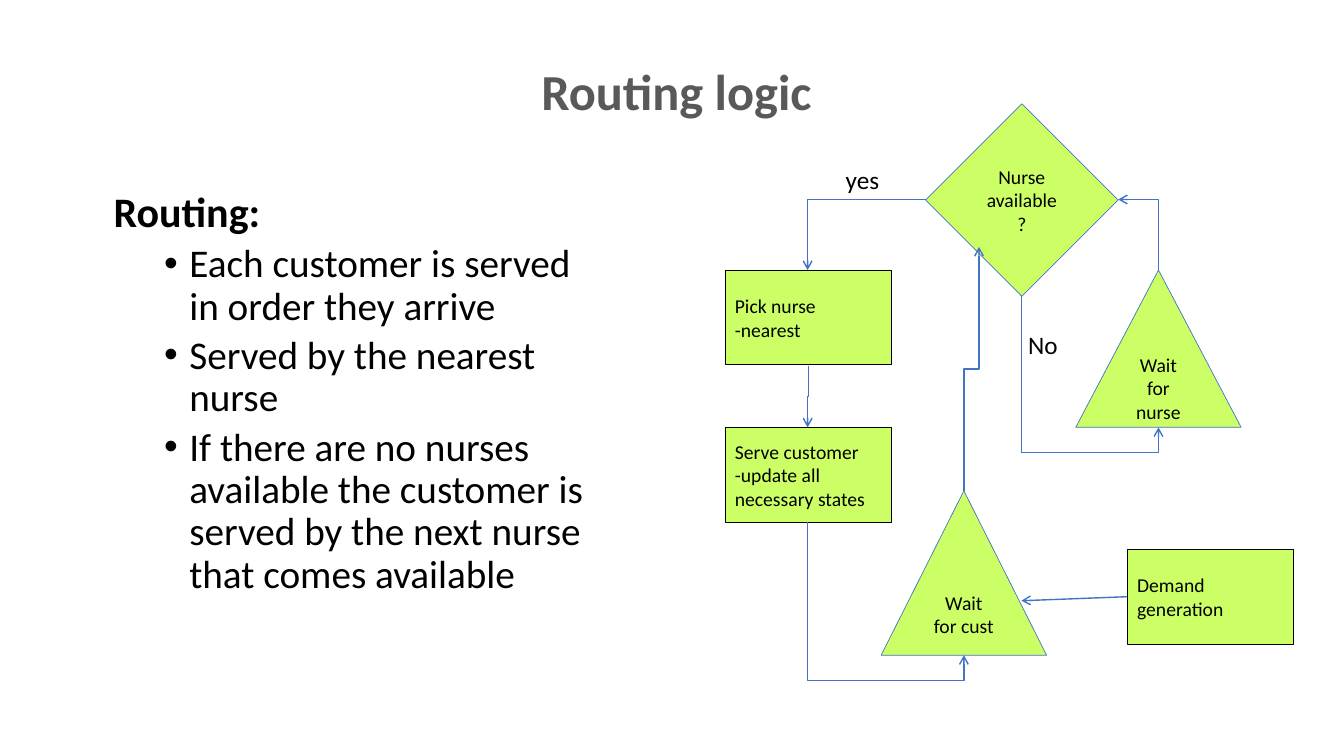
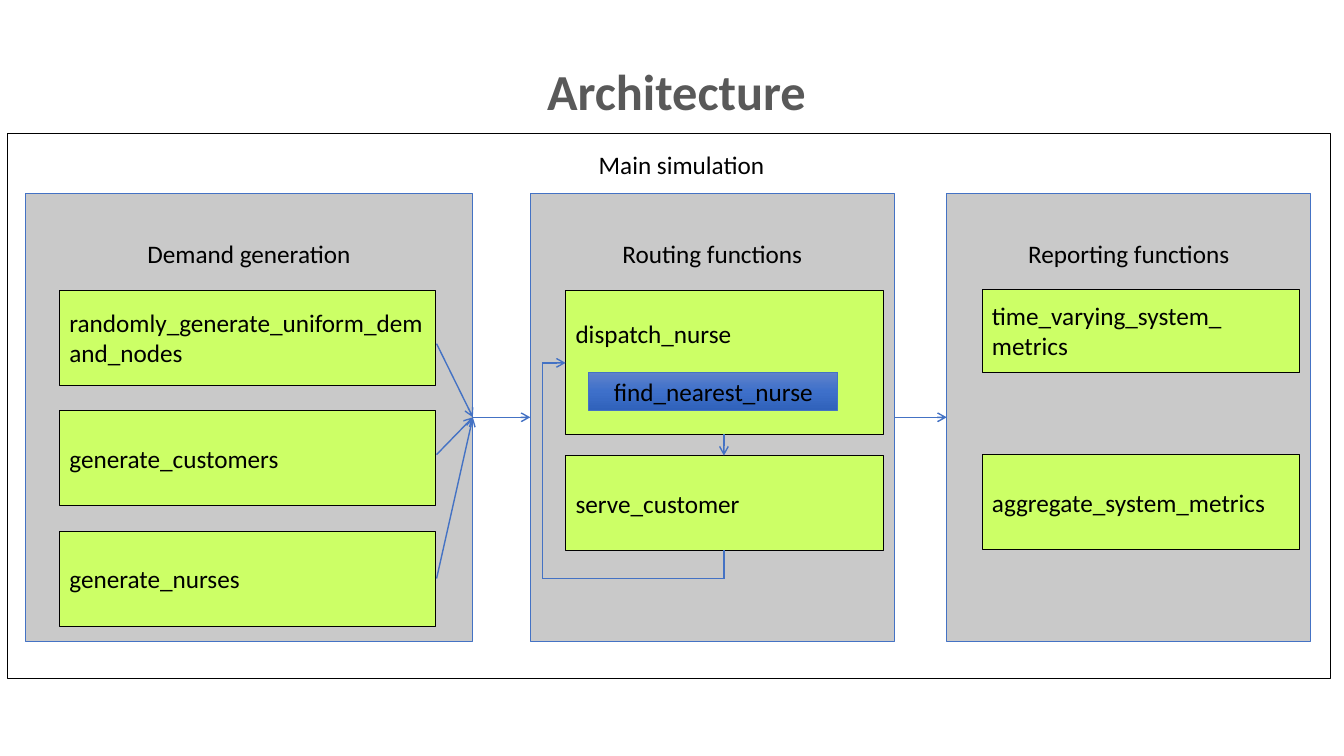
from copy import deepcopy
from dataclasses import dataclass
from itertools import pairwise

from lxml import etree
from pptx import Presentation
from pptx.dml.color import RGBColor
from pptx.enum.shapes import MSO_CONNECTOR, MSO_SHAPE
from pptx.enum.text import MSO_ANCHOR, PP_ALIGN
from pptx.oxml.ns import qn
from pptx.util import Inches, Pt

RECT, DIAMOND = MSO_SHAPE.RECTANGLE, MSO_SHAPE.DIAMOND
TRIANGLE = MSO_SHAPE.ISOSCELES_TRIANGLE
STRAIGHT, ELBOW = MSO_CONNECTOR.STRAIGHT, MSO_CONNECTOR.ELBOW
LEFT, CENTER = PP_ALIGN.LEFT, PP_ALIGN.CENTER
TOP, MIDDLE = MSO_ANCHOR.TOP, MSO_ANCHOR.MIDDLE

FONT = "Calibri"
COLORS = {
    "white": "FFFFFF",
    "black": "000000",
    "title": "595959",
    "green": "CCFF66",
    "gray": "C9C9C9",
    "blue": "4472C4",
}
BLUE_GRADIENT = {0: "6183CB", 0.5: "3E70CA", 1: "3062BB"}
Point = tuple[float, float]


@dataclass
class Node:
    x: float
    y: float
    w: float
    h: float
    lines: tuple[str, ...] = ()
    size: int = 18
    kind: MSO_SHAPE = RECT
    fill: str = "green"
    line: str = "black"
    align: PP_ALIGN = LEFT
    top_inset: float | None = None  # None centres the text vertically


@dataclass
class Elbow:
    start: Point
    end: Point
    vertical: bool = True  # direction of the first leg
    bends: int = 2
    adj: float = 0.5


def rgb(name: str) -> RGBColor:
    return RGBColor.from_string(COLORS[name])


def add_run(p, text: str, size: int, color: str = "black", bold: bool = False) -> None:
    r = p.add_run()
    r.text = text
    r.font.name, r.font.size, r.font.bold = FONT, Pt(size), bold
    r.font.color.rgb = rgb(color)


def add_text_box(s, x: float, y: float, w: float, h: float, wrap: bool = True):
    tf = s.shapes.add_textbox(Inches(x), Inches(y), Inches(w), Inches(h)).text_frame
    tf.word_wrap = wrap
    return tf


def add_label(s, x: float, y: float, w: float, text: str) -> None:
    tf = add_text_box(s, x, y, w, 0.4, wrap=False)
    add_run(tf.paragraphs[0], text, 18)


def add_title(s, text: str) -> None:
    tf = add_text_box(s, 0.59, 0.21, 12.24, 1.45)
    tf.vertical_anchor = MIDDLE
    p = tf.paragraphs[0]
    p.alignment, p.line_spacing = CENTER, 0.9
    add_run(p, text, 36, "title", bold=True)


def add_node(s, node: Node):
    sp = s.shapes.add_shape(
        node.kind, Inches(node.x), Inches(node.y), Inches(node.w), Inches(node.h)
    )
    sp.shadow.inherit = False
    sp.fill.solid()
    sp.fill.fore_color.rgb = rgb(node.fill)
    sp.line.color.rgb = rgb(node.line)
    sp.line.width = Pt(0.5)
    tf = sp.text_frame
    tf.word_wrap = True
    tf.vertical_anchor = MIDDLE
    if node.top_inset is not None:
        tf.vertical_anchor = TOP
        tf.margin_top = Inches(node.top_inset)
    for i, text in enumerate(node.lines):
        p = tf.add_paragraph() if i else tf.paragraphs[0]
        p.alignment = node.align
        add_run(p, text, node.size)
    return sp


def fill_gradient(sp, stops: dict[float, str]) -> None:
    sp.fill.gradient()
    sp.fill.gradient_angle = 270
    gs_list = sp._element.spPr.find(qn("a:gradFill")).find(qn("a:gsLst"))
    while len(gs_list) < len(stops):
        gs_list.append(deepcopy(gs_list[0]))
    for stop, (position, color) in zip(sp.fill.gradient_stops, stops.items()):
        stop.position = position
        stop.color.rgb = RGBColor.from_string(color)


def add_line(s, start: Point, end: Point, kind=STRAIGHT, arrow: bool = True):
    cxn = s.shapes.add_connector(kind, *(Inches(v) for v in (*start, *end)))
    cxn.line.color.rgb = rgb("blue")
    cxn.line.width = Pt(1)
    sppr = cxn._element.spPr
    if arrow:
        etree.SubElement(sppr.find(qn("a:ln")), qn("a:tailEnd"), type="arrow")
    etree.SubElement(sppr, qn("a:effectLst"))
    return cxn


def add_elbow(s, elbow: Elbow) -> None:
    cxn = add_line(s, elbow.start, elbow.end, ELBOW)
    (x1, y1), (x2, y2) = elbow.start, elbow.end
    dx, dy = x2 - x1, y2 - y1
    w, h = abs(dx), abs(dy)
    # The preset starts sideways, so a vertical start is a quarter turn
    if elbow.vertical:
        w, h = h, w
        rot = 90 if (dx < 0) == (dy > 0) else 270
        flip_h, flip_v = dx > 0, dy < 0
    else:
        rot = 0 if dx > 0 else 180
        flip_h, flip_v = False, (dx > 0) == (dy < 0)
    cxn.left, cxn.top = Inches((x1 + x2 - w) / 2), Inches((y1 + y2 - h) / 2)
    cxn.width, cxn.height = Inches(w), Inches(h)
    sppr = cxn._element.spPr
    xfrm = sppr.find(qn("a:xfrm"))
    xfrm.set("rot", str(rot * 60000))
    xfrm.set("flipH", str(int(flip_h)))
    xfrm.set("flipV", str(int(flip_v)))
    geom = sppr.find(qn("a:prstGeom"))
    geom.set("prst", f"bentConnector{elbow.bends + 1}")
    if elbow.bends == 2:
        av = geom.find(qn("a:avLst"))
        if av is None:
            av = etree.SubElement(geom, qn("a:avLst"))
        etree.SubElement(
            av, qn("a:gd"), name="adj1", fmla=f"val {round(elbow.adj * 100000)}"
        )


def add_routing_text(s) -> None:
    tf = add_text_box(s, 1.03, 1.85, 4.97, 5.02)
    p = tf.paragraphs[0]
    p.line_spacing, p.space_before = 0.9, Pt(10)
    add_run(p, "Routing:", 30, bold=True)
    for text in (
        "Each customer is served in order they arrive",
        "Served by the nearest nurse",
        "If there are no nurses available the customer is served by the next nurse "
        "that comes available",
    ):
        p = tf.add_paragraph()
        p.level, p.line_spacing, p.space_before = 1, 0.9, Pt(5)
        ppr = p._p.get_or_add_pPr()
        ppr.set("marL", str(Inches(0.75)))
        ppr.set("indent", str(Inches(-0.25)))
        etree.SubElement(ppr, qn("a:buFont"), typeface="Arial")
        etree.SubElement(ppr, qn("a:buChar"), char="•")
        add_run(p, text, 28)


def build_routing(s) -> None:
    add_title(s, "Routing logic")
    add_routing_text(s)

    # Steps
    for x, y, lines in (
        (7.19, 2.68, ("Pick nurse", "-nearest")),
        (7.19, 4.24, ("Serve customer", "-update all necessary states")),
        (11.18, 5.45, ("Demand generation",)),
    ):
        add_node(s, Node(x, y, 1.65, 0.94, lines, 14))

    # Decision and waiting states
    for kind, x, y, w, h, text in (
        (DIAMOND, 9.18, 1.03, 1.91, 1.91, "Nurse available?"),
        (TRIANGLE, 10.67, 2.68, 1.64, 1.56, "Wait for nurse"),
        (TRIANGLE, 8.74, 4.87, 1.64, 1.63, "Wait for cust"),
    ):
        add_node(s, Node(x, y, w, h, (text,), 14, kind, line="blue", align=CENTER))

    # Flow
    for elbow in (
        Elbow((9.18, 1.98), (8.01, 2.68), vertical=False, bends=1),
        Elbow((11.49, 2.68), (11.09, 1.98), bends=1),
        Elbow((10.13, 2.94), (11.49, 4.24), adj=1.19),
        Elbow((8.02, 3.63), (8.01, 4.24)),
        Elbow((8.01, 5.18), (9.56, 6.5), adj=1.19),
        Elbow((9.56, 4.87), (9.71, 2.45)),
    ):
        add_elbow(s, elbow)
    add_line(s, (11.18, 5.92), (10.13, 5.96))
    add_label(s, 8.29, 1.58, 0.54, "yes")
    add_label(s, 10.1, 3.22, 0.5, "No")


def build_architecture(s) -> None:
    add_node(s, Node(0.07, 1.32, 13.13, 5.41, fill="white"))
    add_title(s, "Architecture")
    add_label(s, 5.84, 1.43, 1.86, "Main simulation")

    # Panels
    for x, w, heading in (
        (0.25, 4.44, "Demand generation"),
        (5.26, 3.61, "Routing functions"),
        (9.39, 3.61, "Reporting functions"),
    ):
        add_node(s, Node(x, 1.92, w, 4.44, (heading,), fill="gray", line="blue",
                         align=CENTER, top_inset=0.44))

    # Functions
    demand = ("randomly_generate_uniform_demand_nodes", "generate_customers",
              "generate_nurses")
    for i, name in enumerate(demand):
        y = 2.88 + 1.195 * i
        add_node(s, Node(0.59, y, 3.73, 0.94, (name,)))
    for node in (
        Node(5.61, 2.88, 3.15, 1.43, ("dispatch_nurse",), top_inset=0.28),
        Node(5.61, 4.52, 3.15, 0.94, ("serve_customer",)),
        Node(9.74, 2.87, 3.15, 0.82, ("time_varying_system_", "metrics")),
        Node(9.74, 4.51, 3.15, 0.94, ("aggregate_system_metrics",)),
    ):
        add_node(s, node)
    nearest = Node(5.84, 3.69, 2.47, 0.38, ("find_nearest_nurse",), line="blue",
                   align=CENTER)
    fill_gradient(add_node(s, nearest), BLUE_GRADIENT)

    # Arrows between panels and functions
    demand_exit = (4.69, 4.14)
    for y in (3.41, 4.51, 5.74):
        add_line(s, (4.33, y), demand_exit)
    add_line(s, demand_exit, (5.26, 4.14))
    add_line(s, (8.87, 4.14), (9.39, 4.14))
    add_line(s, (7.18, 4.31), (7.18, 4.52))

    # Loop back to dispatch
    loop = ((7.18, 5.46), (7.18, 5.74), (5.38, 5.74), (5.38, 3.6), (5.61, 3.6))
    for start, end in pairwise(loop):
        add_line(s, start, end, arrow=end == loop[-1])


def main() -> None:
    prs = Presentation()
    prs.slide_width, prs.slide_height = Inches(13.33), Inches(7.5)
    for build in (build_routing, build_architecture):
        build(prs.slides.add_slide(prs.slide_layouts[6]))
    prs.save("out.pptx")


if __name__ == "__main__":
    main()
